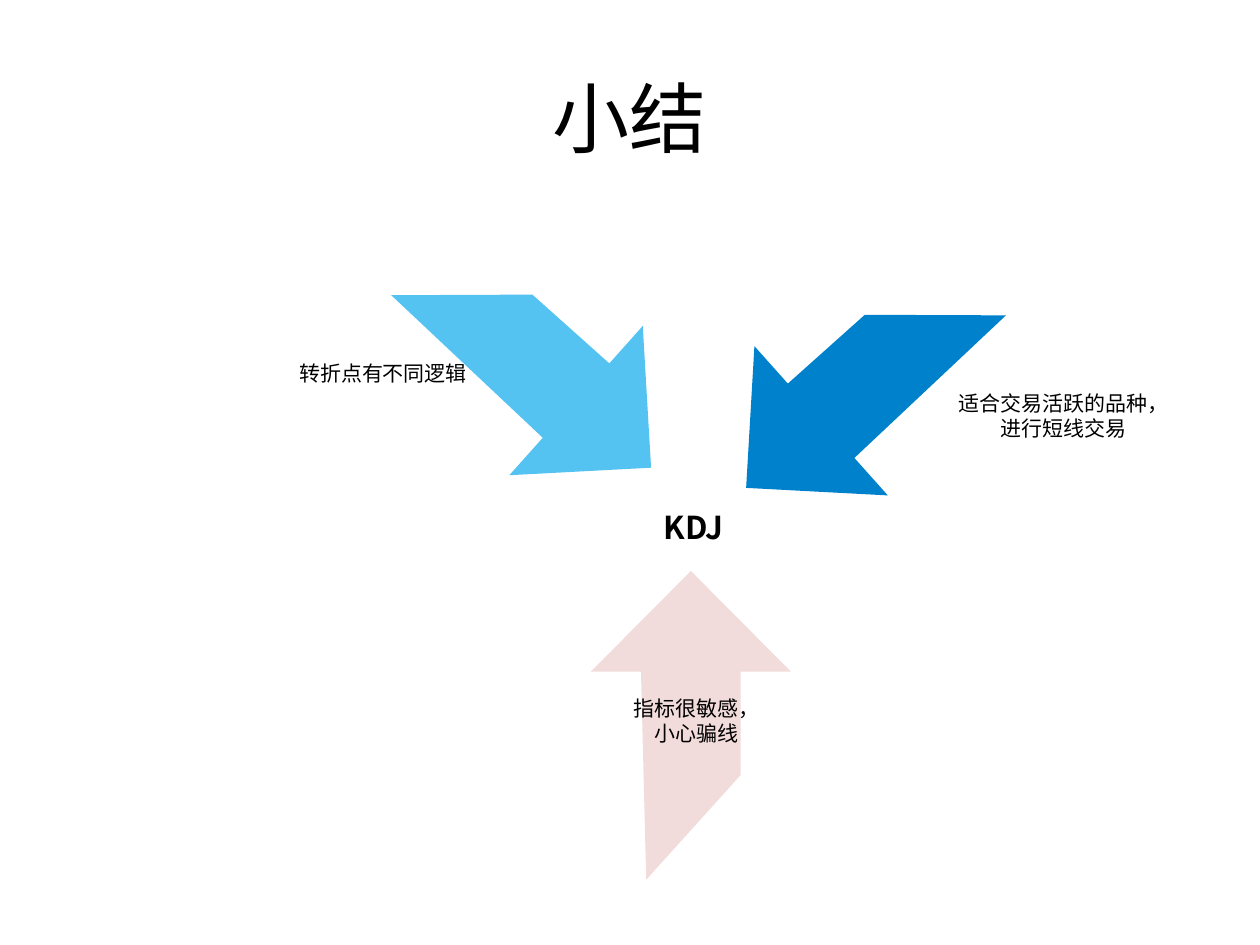
from pptx import Presentation
from pptx.dml.color import RGBColor
from pptx.enum.text import MSO_ANCHOR, PP_ALIGN
from pptx.util import Pt

INK = {"text": "000000", "right": "0081CC", "up": "F2DCDB", "left": "54C3F1"}
TITLE = "小结"
NOTES = [
    (["KDJ"], (371.2, 286.5, 50.4, 29), 18, True),
    (["指标很敏感，", "小心骗线"], (354.6, 394, 87, 36), 12, False),
    (["适合交易活跃的品种，", "进行短线交易"], (540, 219.6, 135.4, 36), 12, False),
    (["转折点有不同逻辑"], (163.1, 202.3, 111.6, 21.6), 12, False),
]
DOTS = [(-28.3, 28.5), (30.7, 28.5), (30.7, 57.2), (88.2, 0),
        (30.7, -57.2), (30.7, -28.5), (-88.2, -25.5)]
ARROWS = [
    ("right", (492.1, 220), (-1, -1), 318.2),
    ("up", (394.8, 414.5), (1, 1), 270),
    ("left", (306.3, 208.5), (1, -1), 41.8),
]


def rgb(key):
    return RGBColor.from_string(INK[key])


def style(para, name, size, bold=False):
    para.alignment = PP_ALIGN.CENTER
    font = para.font
    font.name, font.size, font.bold = name, Pt(size), bold
    font.color.rgb = rgb("text")


def arrow(slide, key, mid, flip, turn):
    dots = [(Pt(mid[0] + flip[0] * x), Pt(mid[1] + flip[1] * y)) for x, y in DOTS]
    pen = slide.shapes.build_freeform(*dots[0], scale=1.0)
    pen.add_line_segments(dots[1:], close=True)
    shape = pen.convert_to_shape()
    shape.rotation = turn
    shape.shadow.inherit = False
    shape.fill.solid()
    shape.fill.fore_color.rgb = rgb(key)
    shape.line.fill.background()


def note(slide, lines, box, size, bold):
    frame = slide.shapes.add_textbox(*map(Pt, box)).text_frame
    frame.word_wrap = False
    frame.text = "\n".join(lines)
    for para in frame.paragraphs:
        style(para, "Noto Sans CJK SC", size, bold)


def main():
    deck = Presentation()
    deck.slide_width, deck.slide_height = Pt(720), Pt(540)
    slide = deck.slides.add_slide(deck.slide_layouts[5])
    title = slide.shapes.title
    title.left, title.top, title.width, title.height = map(Pt, (36, 21.6, 648, 90))
    title.text_frame.text = TITLE
    title.text_frame.vertical_anchor = MSO_ANCHOR.MIDDLE
    style(title.text_frame.paragraphs[0], "Calibri", 44)
    for item in ARROWS:
        arrow(slide, *item)
    for item in NOTES:
        note(slide, *item)
    deck.save("out.pptx")


if __name__ == "__main__":
    main()
